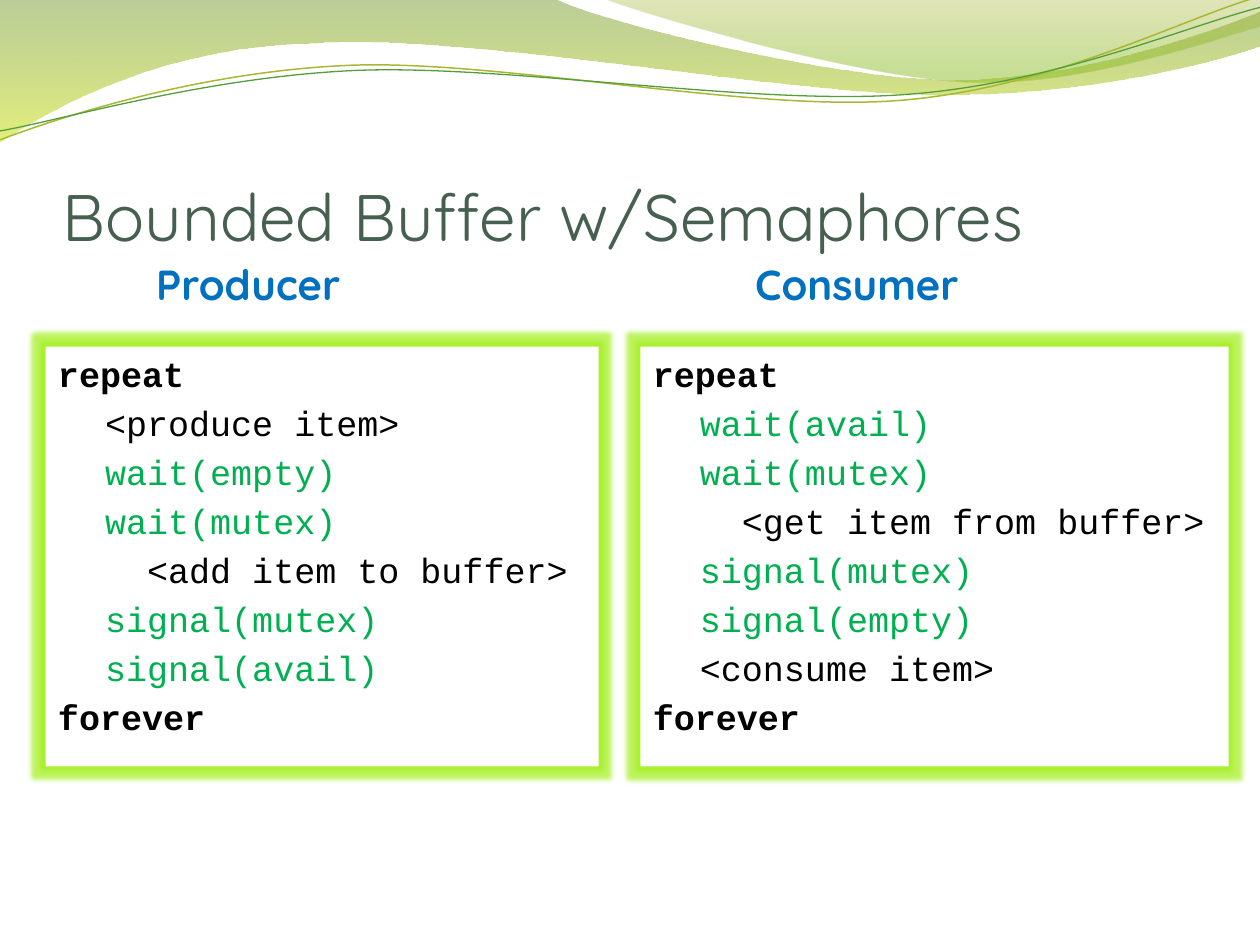
from math import cos, radians, sin
from lxml.etree import SubElement as Sub
from pptx import Presentation
from pptx.dml.color import RGBColor as Rgb
from pptx.enum.shapes import MSO_SHAPE as Kind
from pptx.enum.text import MSO_ANCHOR as Anchor, PP_ALIGN as Align
from pptx.oxml.ns import qn
from pptx.util import Cm, Pt

BAND = [(0, 0), (11.18, -0.03), (12.07, 0.43, 16.84, 1.6, 19.25, 1.6),
        (21.67, 1.6, 24.33, 0.66, 25.4, 0.23), (25.43, 0.91),
        (24.97, 1.12, 22.07, 1.93, 18.95, 1.91),
        (15.8, 1.91, 9.68, 0.71, 6.53, 0.86),
        (3.28, 0.91, 1.17, 2.11, -0.03, 2.87)]
VEIL = [(12.17, -0.03), (12.93, 0.28, 17.32, 1.57, 19.51, 1.65),
        (21.72, 1.75, 24.41, 0.81, 25.4, 0.53), (25.4, 0)]
LIME = [(0, 2.82), (1.22, 2.36, 3.99, 1.45, 7.01, 1.32),
        (10.03, 1.19, 15.04, 2.26, 18.08, 2.03),
        (21.16, 1.8, 23.83, 0.38, 25.32, -0.05)]
GREEN = [(0, 2.64), (1.19, 2.44, 4.14, 1.55, 7.19, 1.42),
         (10.21, 1.3, 15.16, 2.13, 18.21, 1.91),
         (21.23, 1.7, 23.9, 0.53, 25.4, 0.15)]
MAKER = ["repeat", "\t<produce item>", "\twait(empty)", "\twait(mutex)",
         "\t  <add item to buffer>", "\tsignal(mutex)", "\tsignal(avail)",
         "forever"]
TAKER = ["repeat", "\twait(avail)", "\twait(mutex)",
         "\t  <get item from buffer>", "\tsignal(mutex)", "\tsignal(empty)",
         "\t<consume item>", "forever"]


def ink(code):
    return Rgb.from_string(code)


def level(path, mid, tilt):
    a, (cx, cy) = radians(-tilt), mid
    def turn(x, y):
        dx, dy = x - cx, y - cy
        return cx + dx * cos(a) - dy * sin(a), cy + dx * sin(a) + dy * cos(a)
    return [sum((turn(*seg[i:i + 2]) for i in range(0, len(seg), 2)), ())
            for seg in path]


class Deck:
    """Holds the style and the current slide."""

    sans, mono = "Quicksand", "Courier New"

    def __init__(self):
        self.file = Presentation()
        self.file.slide_width, self.file.slide_height = Cm(25.4), Cm(19.05)
        self.slide = self.file.slides.add_slide(self.file.slide_layouts[6])

    def curve(self, path, close):
        dots = [(Cm(seg[i]), Cm(seg[i + 1]))
                for seg in path for i in range(0, len(seg), 2)]
        pen = self.slide.shapes.build_freeform(*dots[0])
        pen.add_line_segments(dots[1:], close=close)
        shape = pen.convert_to_shape()
        shape.shadow.inherit = False
        legs = iter(list(shape._element.spPr.iter(qn("a:lnTo"))))
        for seg in path[1:]:
            leg = next(legs)
            if len(seg) == 6:
                leg.tag = qn("a:cubicBezTo")
                for rest in (next(legs), next(legs)):
                    leg.append(rest[0])
                    rest.getparent().remove(rest)
        return shape

    def wave(self, path, stops):
        shape = self.curve(path, True)
        shape.line.fill.background()
        shape.fill.gradient()
        shape.fill.gradient_angle = 270
        for stop, (spot, code, _) in zip(shape.fill.gradient_stops, stops):
            stop.position, stop.color.rgb = spot, ink(code)
        tints = shape._element.spPr.iter(qn("a:srgbClr"))
        for tint, (_, _, alpha) in zip(tints, stops):
            Sub(tint, qn("a:alpha")).set("val", str(alpha * 1000))

    def thread(self, path, mid, code, width, tilt=-2.7):
        shape = self.curve(level(path, mid, tilt), False)
        shape.rotation = tilt
        shape.fill.background()
        shape.line.color.rgb, shape.line.width = ink(code), Pt(width)

    def style(self, para, face, size, code, bold=False):
        for run in para.runs:
            font = run.font
            font.name, font.size, font.bold = face, Pt(size), bold
            font.color.rgb = ink(code)

    def title(self, text):
        box = self.slide.shapes.add_textbox(Cm(1.27), Cm(1.96), Cm(23.06), Cm(3.17))
        frame = box.text_frame
        frame.word_wrap, frame.vertical_anchor = True, Anchor.BOTTOM
        frame.margin_left = frame.margin_right = frame.margin_bottom = 0
        frame.text = text
        self.style(frame.paragraphs[0], self.sans, 37.5, "455F51")

    def label(self, text, left, width):
        box = self.slide.shapes.add_textbox(Cm(left), Cm(5.08), Cm(width), Cm(1.27))
        frame = box.text_frame
        frame.word_wrap = False
        frame.text = text
        frame.paragraphs[0].alignment = Align.CENTER
        self.style(frame.paragraphs[0], self.sans, 24, "0070C0", True)

    def panel(self, lines, left, width):
        box = self.slide.shapes.add_shape(
            Kind.RECTANGLE, Cm(left), Cm(6.99), Cm(width), Cm(8.46))
        box.shadow.inherit = False
        box.fill.solid()
        box.fill.fore_color.rgb = ink("FFFFFF")
        box.line.fill.background()
        glow = Sub(box._element.spPr.find(qn("a:effectLst")), qn("a:glow"))
        glow.set("rad", str(Cm(0.18)))
        tint = Sub(glow, qn("a:srgbClr"))
        tint.set("val", "A1EF19")
        Sub(tint, qn("a:alpha")).set("val", "70000")
        frame = box.text_frame
        frame.vertical_anchor = Anchor.TOP
        frame.text = "\n".join(lines)
        for i, para in enumerate(frame.paragraphs):
            para.alignment = Align.LEFT
            para.space_before = Pt(4 if i else 0)
            props = para._p.get_or_add_pPr()
            props.set("marL", str(Cm(0.95)))
            props.set("indent", str(Cm(-0.95)))
            call = "(" in lines[i]
            self.style(para, self.mono, 20, "00B050" if call else "000000",
                       lines[i] in ("repeat", "forever"))


def main():
    deck = Deck()
    deck.wave(BAND, [(0, "69921C", 45), (1, "CCE10F", 55)])
    deck.wave(VEIL, [(0, "9BAA1A", 30), (0.8, "81BA16", 45)])
    deck.thread(LIME, (12.67, 1.46), "A9B733", 0.85)
    deck.thread(GREEN, (12.69, 1.5), "549E39", 0.75)
    deck.title("Bounded Buffer w/Semaphores")
    deck.panel(TAKER, 12.91, 11.86)
    deck.panel(MAKER, 0.92, 11.15)
    deck.label("Producer", 2.87, 4.27)
    deck.label("Consumer", 14.9, 4.75)
    deck.file.save("out.pptx")


if __name__ == "__main__":
    main()
